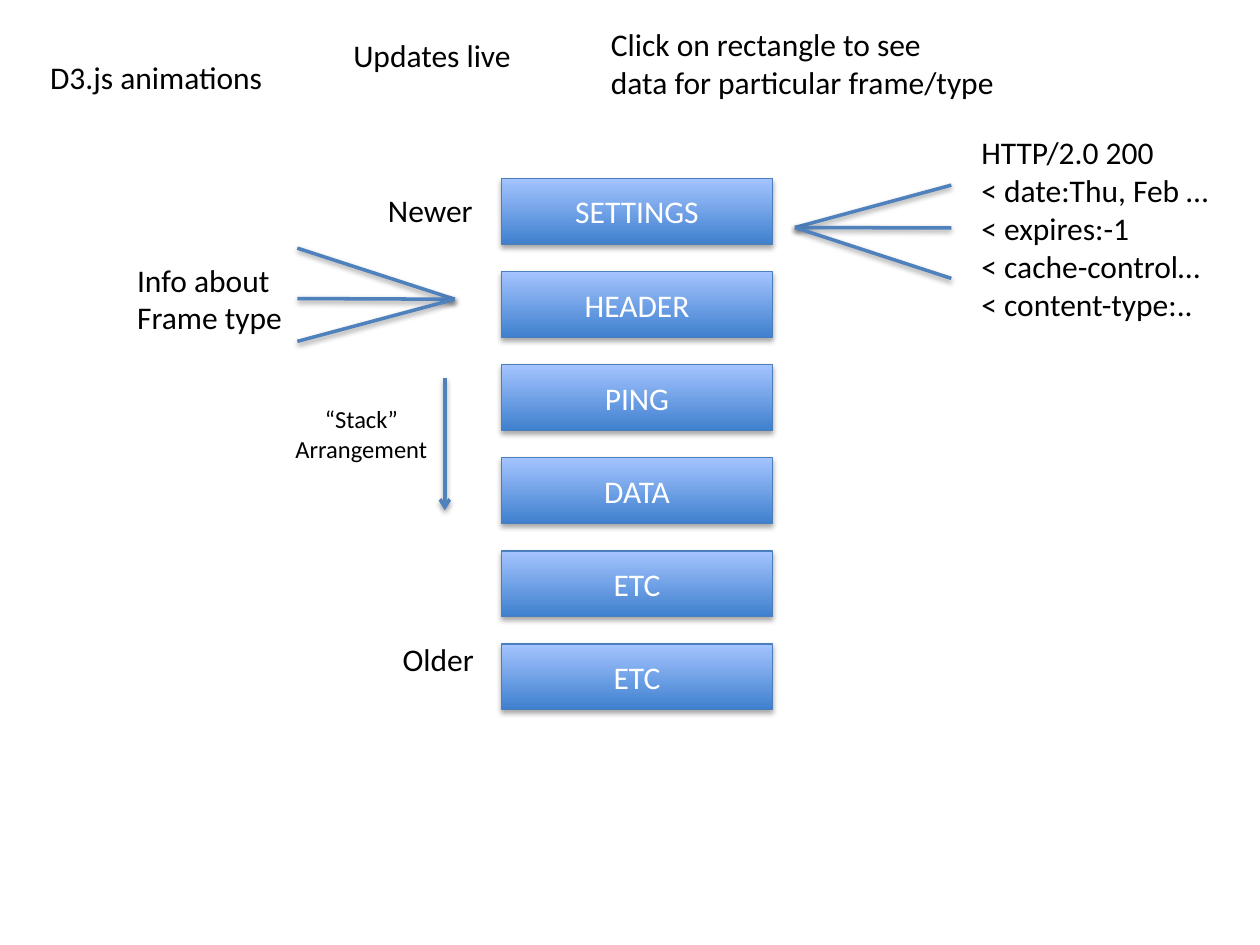
from pptx import Presentation
from pptx.dml.color import RGBColor
from pptx.enum.shapes import MSO_CONNECTOR, MSO_SHAPE
from pptx.enum.text import MSO_ANCHOR, MSO_AUTO_SIZE, PP_ALIGN
from pptx.oxml import parse_xml
from pptx.oxml.ns import nsdecls, qn
from pptx.util import Pt

RECTANGLE, STRAIGHT = MSO_SHAPE.RECTANGLE, MSO_CONNECTOR.STRAIGHT
LEFT, CENTER = PP_ALIGN.LEFT, PP_ALIGN.CENTER
MIDDLE, GROW = MSO_ANCHOR.MIDDLE, MSO_AUTO_SIZE.SHAPE_TO_FIT_TEXT

THEME = {
    "font": "Calibri", "body": 18, "small": 14,
    "ink": "000000", "frame_ink": "FFFFFF",
    "frame_stops": ("3F80CE", "A4C4FF"), "frame_edge": "4B7EBC", "line": "4F81BD",
    "edge_width": 0.75, "line_width": 2,
    "frame_shadow": {"blur": 3.15, "distance": 1.81, "opacity": 35},
    "line_shadow": {"blur": 3.15, "distance": 1.57, "opacity": 38},
}

FRAMES = ["SETTINGS", "HEADER", "PING", "DATA", "ETC", "ETC"]
STACK = {"left": 286.6, "top": 102, "width": 154.8, "height": 37.5, "pitch": 53.2}

NOTES = [
    (["D3.js animations"], (21.6, 29.5, 136.8, 29), {}),
    (["Updates live"], (194.8, 17, 106.2, 29), {}),
    (["Click on rectangle to see", "data for particular frame/type"],
     (342, 10.8, 236.9, 51), {}),
    (["HTTP/2.0 200", "< date:Thu, Feb …", "< expires:-1", "< cache-control…",
      "< content-type:.."], (553.7, 72.7, 146.2, 116.5), {}),
    (["Info about", "Frame type"], (71.3, 145.4, 98.6, 51), {}),
    (["Newer"], (214.6, 105.8, 63.4, 29), {}),
    (["Older"], (223, 362.2, 55.4, 29), {}),
    (["“Stack”", "Arrangement"], (159, 227.5, 95, 41),
     {"size": THEME["small"], "align": CENTER, "wrap": True}),
]

FANS = [
    {"hub": (454.3, 130), "tip_x": 543.6, "tips": (105.8, 130.3, 159.1)},
    {"hub": (259.9, 171), "tip_x": 169.9, "tips": (141.8, 170.6, 195.1)},
]
STACK_ARROW = ((254.2, 216), (254.2, 291.6))


def color(code):
    return RGBColor.from_string(code)


def apply(target, values):
    for name, value in values.items():
        setattr(target, name, value)


def write(frame, lines, ink, size, align):
    for index, line in enumerate(lines):
        paragraph = frame.paragraphs[0] if index == 0 else frame.add_paragraph()
        paragraph.alignment = align
        run = paragraph.add_run()
        run.text = line
        apply(run.font, {"name": THEME["font"], "size": Pt(size)})
        run.font.color.rgb = color(ink)


def cast_shadow(part, blur, distance, opacity):
    part._element.spPr.append(parse_xml(
        f'<a:effectLst {nsdecls("a")}><a:outerShdw blurRad="{Pt(blur)}" '
        f'dist="{Pt(distance)}" dir="5400000" rotWithShape="0"><a:srgbClr val="000000">'
        f'<a:alpha val="{opacity * 1000}"/></a:srgbClr></a:outerShdw></a:effectLst>'))


def add_frame(slide, label, top):
    box = slide.shapes.add_shape(RECTANGLE, Pt(STACK["left"]), Pt(top),
                                 Pt(STACK["width"]), Pt(STACK["height"]))
    box.fill.gradient()
    box.fill.gradient_angle = 90
    for stop, position, code in zip(box.fill.gradient_stops, (0, 1), THEME["frame_stops"]):
        stop.position = position
        stop.color.rgb = color(code)
    box.line.color.rgb = color(THEME["frame_edge"])
    box.line.width = Pt(THEME["edge_width"])
    cast_shadow(box, **THEME["frame_shadow"])
    box.text_frame.vertical_anchor = MIDDLE
    write(box.text_frame, [label], THEME["frame_ink"], THEME["body"], CENTER)


def add_note(slide, lines, place, size=THEME["body"], align=LEFT, wrap=False):
    note = slide.shapes.add_textbox(*map(Pt, place))
    apply(note.text_frame, {"word_wrap": wrap, "auto_size": GROW})
    write(note.text_frame, lines, THEME["ink"], size, align)


def add_line(slide, start, end, arrow=False):
    line = slide.shapes.add_connector(STRAIGHT, *map(Pt, (*start, *end)))
    line.line.color.rgb = color(THEME["line"])
    line.line.width = Pt(THEME["line_width"])
    if arrow:
        outline = line._element.spPr.find(qn("a:ln"))
        outline.append(parse_xml(f'<a:tailEnd {nsdecls("a")} type="arrow"/>'))
    cast_shadow(line, **THEME["line_shadow"])


def main():
    deck = Presentation()
    apply(deck, {"slide_width": Pt(720), "slide_height": Pt(540)})
    slide = deck.slides.add_slide(deck.slide_layouts[6])
    for index, label in enumerate(FRAMES):
        add_frame(slide, label, STACK["top"] + index * STACK["pitch"])
    for lines, place, style in NOTES:
        add_note(slide, lines, place, **style)
    for fan in FANS:
        for tip in fan["tips"]:
            add_line(slide, fan["hub"], (fan["tip_x"], tip))
    add_line(slide, *STACK_ARROW, arrow=True)
    deck.save("out.pptx")


if __name__ == "__main__":
    main()
